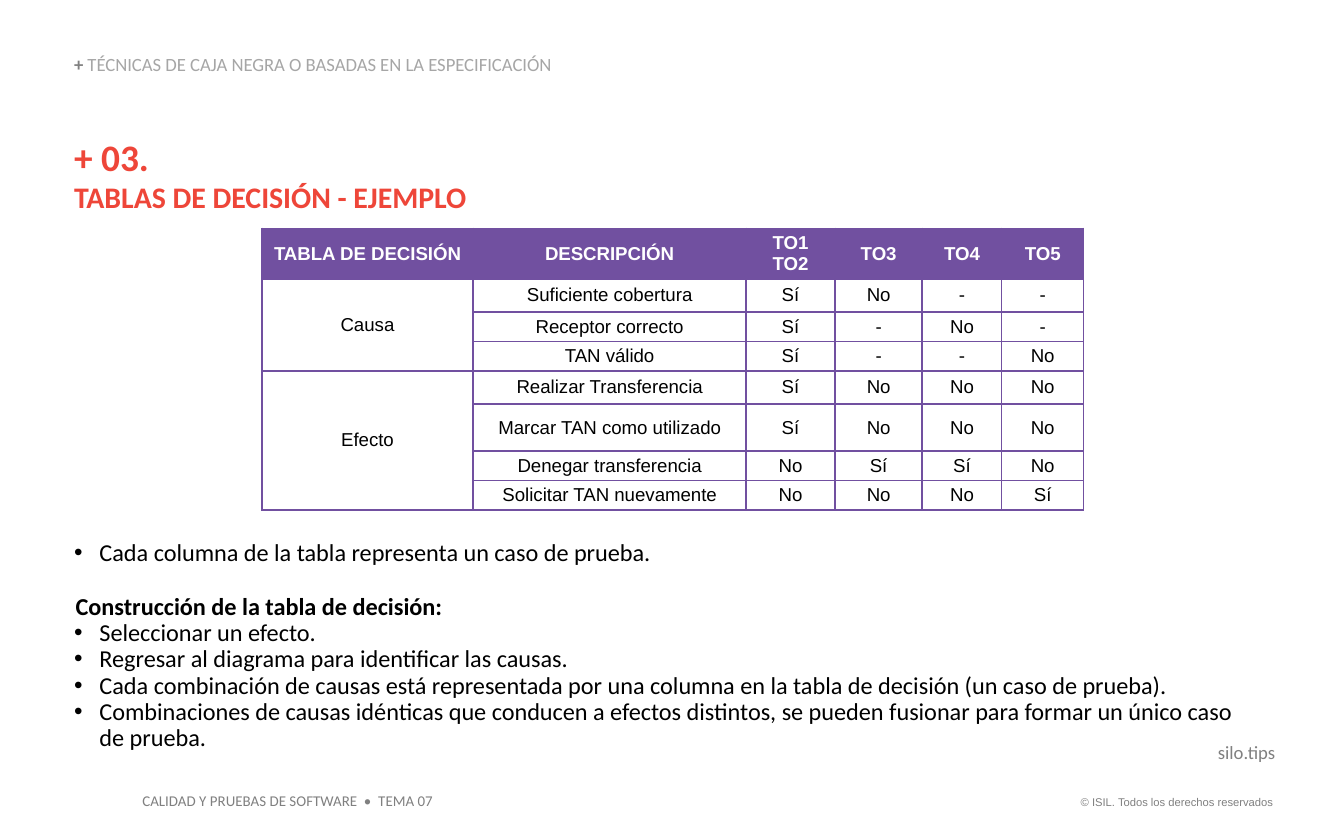
from lxml import etree
from pptx import Presentation
from pptx.dml.color import RGBColor
from pptx.enum.text import MSO_ANCHOR, MSO_AUTO_SIZE, PP_ALIGN
from pptx.oxml.ns import qn
from pptx.util import Cm, Pt

LEFT, CENTER, RIGHT = PP_ALIGN.LEFT, PP_ALIGN.CENTER, PP_ALIGN.RIGHT
TOP, MIDDLE, BOTTOM = MSO_ANCHOR.TOP, MSO_ANCHOR.MIDDLE, MSO_ANCHOR.BOTTOM
NO_AUTOFIT = MSO_AUTO_SIZE.NONE

BLACK = RGBColor(0x00, 0x00, 0x00)
WHITE = RGBColor(0xFF, 0xFF, 0xFF)
GRAY = RGBColor(0x80, 0x80, 0x80)
LIGHT_GRAY = RGBColor(0xA6, 0xA6, 0xA6)
PURPLE = RGBColor(0x71, 0x50, 0xA0)
RED = RGBColor(0xEE, 0x46, 0x39)

MARGIN = 1.4
CONTENT_WIDTH = 22.4

DECISION_ROWS = [
    ["TABLA DE DECISIÓN", "DESCRIPCIÓN", "TO1\nTO2", "TO3", "TO4", "TO5"],
    ["Causa", "Suficiente cobertura", "Sí", "No", "-", "-"],
    ["", "Receptor correcto", "Sí", "-", "No", "-"],
    ["", "TAN válido", "Sí", "-", "-", "No"],
    ["Efecto", "Realizar Transferencia", "Sí", "No", "No", "No"],
    ["", "Marcar TAN como utilizado", "Sí", "No", "No", "No"],
    ["", "Denegar transferencia", "No", "Sí", "Sí", "No"],
    ["", "Solicitar TAN nuevamente", "No", "No", "No", "Sí"],
]
COLUMN_WIDTHS = [3.99, 5.16, 1.68, 1.65, 1.5, 1.55]
ROW_HEIGHTS = [0.89, 0.63, 0.53, 0.53, 0.63, 0.89, 0.53, 0.53]
GROUP_SPANS = [(1, 3), (4, 7)]

INTRO = "Cada columna de la tabla representa un caso de prueba."
STEPS_HEADING = "Construcción de la tabla de decisión:"
STEPS = [
    "Seleccionar un efecto.",
    "Regresar al diagrama para identificar las causas.",
    "Cada combinación de causas está representada por una columna en la tabla "
    "de decisión (un caso de prueba).",
    "Combinaciones de causas idénticas que conducen a efectos distintos, se "
    "pueden fusionar para formar un único caso de prueba.",
]


class DecisionSlide:
    text_font = "Calibri"
    table_font = "Arial"

    def __init__(self, presentation):
        self.slide = presentation.slides.add_slide(presentation.slide_layouts[1])

    def format_runs(self, paragraph, size, color, bold=False, font=text_font):
        for run in paragraph.runs:
            run.font.name = font
            run.font.size = Pt(size)
            run.font.bold = bold
            run.font.color.rgb = color

    def place(self, shape, left, top, width, height, anchor=TOP):
        """Position a text shape and remove its insets and autofit."""
        shape.left, shape.top = Cm(left), Cm(top)
        shape.width, shape.height = Cm(width), Cm(height)
        frame = shape.text_frame
        frame.margin_left = frame.margin_right = 0
        frame.margin_top = frame.margin_bottom = 0
        frame.auto_size = NO_AUTOFIT
        frame.word_wrap = True
        frame.vertical_anchor = anchor
        return frame

    def title(self, number, heading, box):
        frame = self.place(self.slide.shapes.title, *box)
        frame.text = f"{number}\n{heading}"
        for paragraph, size in zip(frame.paragraphs, (20, 16)):
            paragraph.alignment = LEFT
            self.format_runs(paragraph, size, RED, bold=True)

    def label(self, parts, box, size, align=LEFT, anchor=TOP, font=text_font,
              wrap=True):
        """Add a one-line text made of (text, colour, bold) parts."""
        frame = self.place(self.slide.shapes.add_textbox(0, 0, 0, 0), *box, anchor)
        frame.word_wrap = wrap
        paragraph = frame.paragraphs[0]
        paragraph.alignment = align
        for text, color, bold in parts:
            run = paragraph.add_run()
            run.text = text
            run.font.name = font
            run.font.size = Pt(size)
            run.font.color.rgb = color
            run.font.bold = bold

    def bullet(self, paragraph, indent):
        properties = paragraph._p.get_or_add_pPr()
        properties.set("marL", str(Cm(indent)))
        properties.set("indent", str(-Cm(indent)))
        bullet_color = etree.SubElement(properties, qn("a:buClr"))
        etree.SubElement(bullet_color, qn("a:srgbClr"), val=str(BLACK))
        etree.SubElement(properties, qn("a:buFont"), typeface="Arial")
        etree.SubElement(properties, qn("a:buChar"), char="•")

    def body(self, intro, heading, steps, box):
        frame = self.place(self.slide.placeholders[1], *box)
        frame.text = "\n".join([intro, heading, *steps])
        for index, paragraph in enumerate(frame.paragraphs):
            is_heading = index == 1
            paragraph.level = 1 if index > 1 else 0
            paragraph.alignment = LEFT
            paragraph.line_spacing = 0.9
            paragraph.space_before = Pt(15 if is_heading else 0)
            if is_heading:
                properties = paragraph._p.get_or_add_pPr()
                properties.set("marL", str(Cm(0.03)))
                properties.set("indent", "0")
                etree.SubElement(properties, qn("a:buNone"))
            else:
                self.bullet(paragraph, 0.48)
            self.format_runs(paragraph, 13, BLACK, bold=is_heading)

    def border(self, cell):
        properties = cell._tc.get_or_add_tcPr()
        for side in ("lnL", "lnR", "lnT", "lnB"):
            line = etree.SubElement(properties, qn(f"a:{side}"), w=str(Pt(1)))
            fill = etree.SubElement(line, qn("a:solidFill"))
            etree.SubElement(fill, qn("a:srgbClr"), val=str(PURPLE))

    def cell(self, cell, text, is_header):
        self.border(cell)
        cell.fill.solid()
        cell.fill.fore_color.rgb = PURPLE if is_header else WHITE
        cell.vertical_anchor = MIDDLE
        cell.margin_left = cell.margin_right = Cm(0.15)
        cell.margin_top = cell.margin_bottom = Cm(0.08)
        cell.text_frame.text = text
        for paragraph in cell.text_frame.paragraphs:
            paragraph.alignment = CENTER
            self.format_runs(paragraph, 10, WHITE if is_header else BLACK,
                             is_header, self.table_font)

    def table(self, rows, widths, heights, spans, left, top):
        table = self.slide.shapes.add_table(
            len(rows), len(widths), Cm(left), Cm(top),
            Cm(sum(widths)), Cm(sum(heights))).table
        for column, width in zip(table.columns, widths):
            column.width = Cm(width)
        for row_index, (values, height) in enumerate(zip(rows, heights)):
            table.rows[row_index].height = Cm(height)
            for column_index, value in enumerate(values):
                self.cell(table.cell(row_index, column_index), value, row_index == 0)
        for first, last in spans:
            table.cell(first, 0).merge(table.cell(last, 0))


def main():
    presentation = Presentation()
    presentation.slide_width, presentation.slide_height = Cm(25.4), Cm(15.88)
    page = DecisionSlide(presentation)

    page.label([("© ISIL. Todos los derechos reservados", GRAY, False)],
               (20.27, 15.04, 3.79, 0.25), 6, align=RIGHT, font="Arial", wrap=False)
    page.label([("CALIDAD Y PRUEBAS DE SOFTWARE  •  TEMA 07", GRAY, False)],
               (2.69, 14.96, 5.51, 0.35), 8, wrap=False)
    page.label([("+ ", GRAY, True),
                ("TÉCNICAS DE CAJA NEGRA O BASADAS EN LA ESPECIFICACIÓN",
                 LIGHT_GRAY, False)],
               (MARGIN, 1.04, 9.4, 0.38), 10, anchor=BOTTOM)
    page.title("+ 03.", "TABLAS DE DECISIÓN - EJEMPLO",
               (MARGIN, 2.54, CONTENT_WIDTH, 1.55))
    page.table(DECISION_ROWS, COLUMN_WIDTHS, ROW_HEIGHTS, GROUP_SPANS, 4.95, 4.32)
    page.body(INTRO, STEPS_HEADING, STEPS, (MARGIN, 10.21, CONTENT_WIDTH, 4.01))
    page.label([("silo.tips", GRAY, False)], (21.92, 14, 2.18, 0.43), 10, align=RIGHT)

    presentation.save("out.pptx")


if __name__ == "__main__":
    main()
